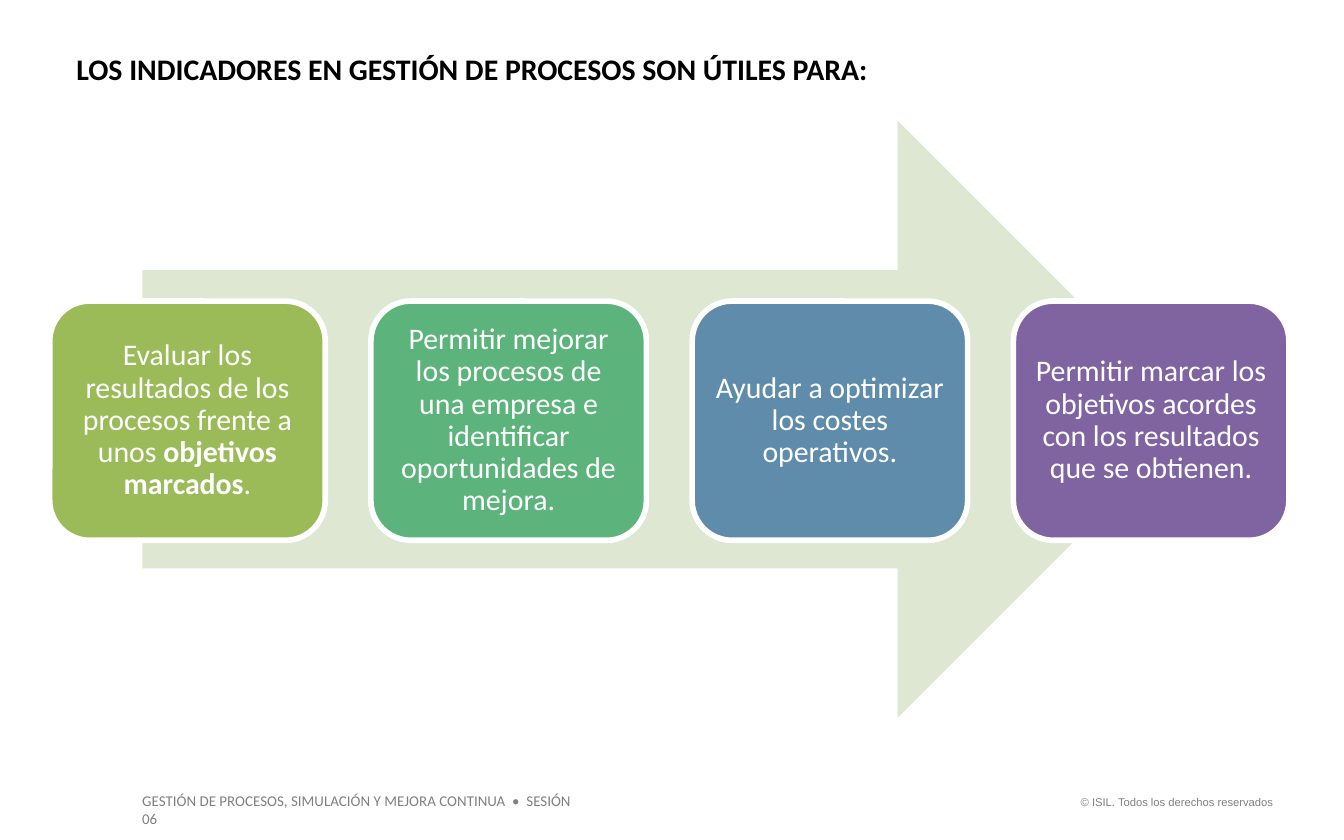
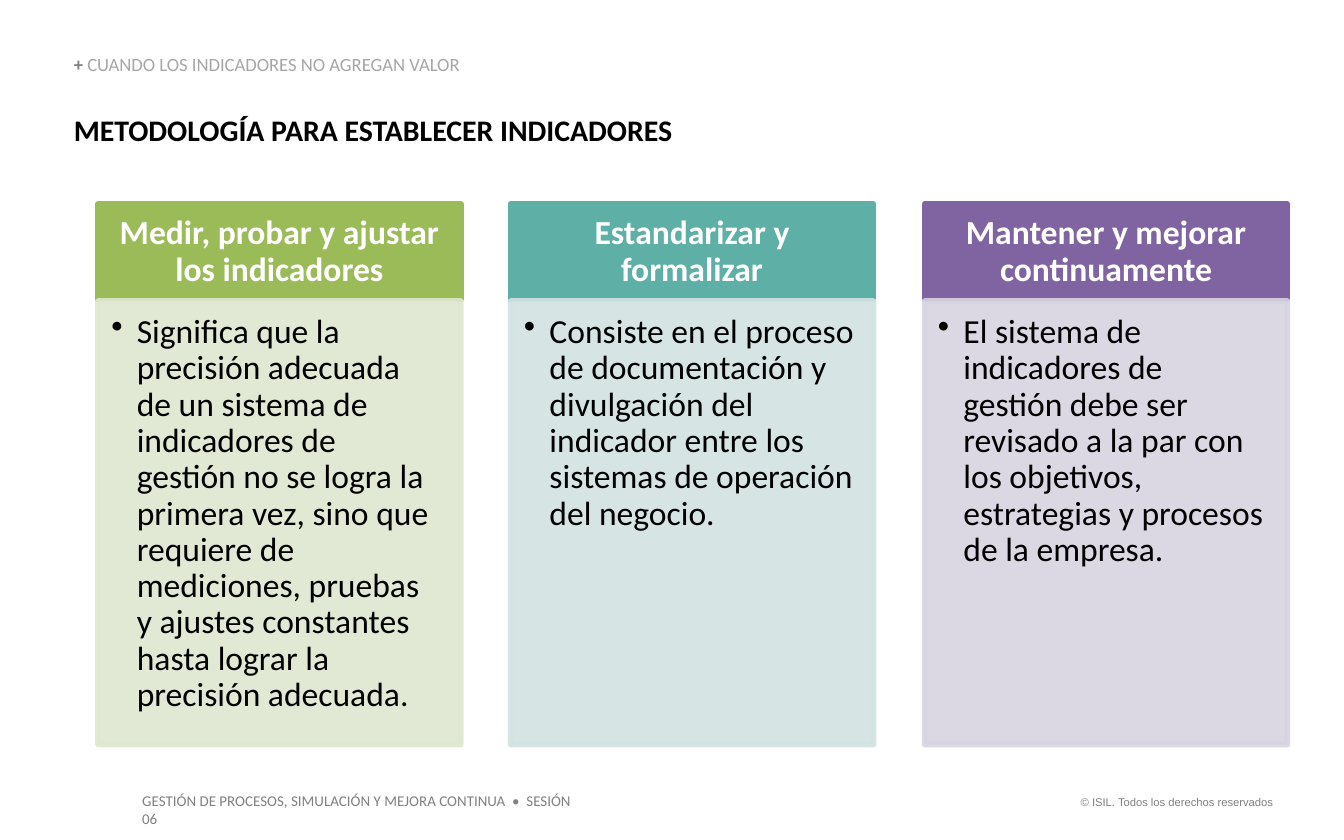
import lxml.etree
import pptx
import pptx.dml.color
import pptx.enum.shapes
import pptx.enum.text
import pptx.oxml.ns
import pptx.util

SCALE = 9144
COLORS = {
    "white": "FFFFFF", "black": "000000", "gray": "808080", "light_gray": "A6A6A6",
    "green": "9BBB59", "emerald": "5CB37C", "blue": "608CAB", "purple": "8064A2",
    "teal": "5EAFA6", "pale_green": "DEE7D1", "pale_teal": "D2E3E2", "pale_purple": "D8D3E0",
}
SHAPE = pptx.enum.shapes.MSO_SHAPE
ALIGN = pptx.enum.text.PP_ALIGN
ANCHOR = pptx.enum.text.MSO_ANCHOR
NO_INSETS = (0, 0, 0, 0)
BOX_INSETS = (10, 5, 10, 5)

USES = [
    ("green", [("Evaluar los resultados de los procesos frente a unos ", False),
               ("objetivos marcados", True), (".", False)]),
    ("emerald", [("Permitir mejorar los procesos de una empresa e identificar "
                  "oportunidades de mejora.", False)]),
    ("blue", [("Ayudar a optimizar los costes operativos.", False)]),
    ("purple", [("Permitir marcar los objetivos acordes con los resultados "
                 "que se obtienen.", False)]),
]
STEPS = [
    ("green", "pale_green", "Medir, probar y ajustar los indicadores",
     "Significa que la precisión adecuada de un sistema de indicadores de gestión no se logra "
     "la primera vez, sino que requiere de mediciones, pruebas y ajustes constantes hasta "
     "lograr la precisión adecuada."),
    ("teal", "pale_teal", "Estandarizar y formalizar",
     "Consiste en el proceso de documentación y divulgación del indicador entre los sistemas "
     "de operación del negocio."),
    ("purple", "pale_purple", "Mantener y mejorar continuamente",
     "El sistema de indicadores de gestión debe ser revisado a la par con los objetivos, "
     "estrategias y procesos de la empresa."),
]


def px(length):
    return pptx.util.Emu(length * SCALE)


def rgb(name):
    return pptx.dml.color.RGBColor.from_string(COLORS[name])


def spread(first, last, items):
    for index, item in enumerate(items):
        yield first + (last - first) * index // (len(items) - 1), item


class Deck:
    def __init__(self):
        self.presentation = pptx.Presentation()
        self.presentation.slide_width = px(1000)
        self.presentation.slide_height = px(625)
        self.slide = None

    def new_slide(self):
        self.slide = self.presentation.slides.add_slide(self.presentation.slide_layouts[6])
        self.text_box((788, 587, 169, 20), [("© ISIL. Todos los derechos reservados", False)],
                      6, "gray", font="Arial", align=ALIGN.RIGHT)
        self.text_box((96, 584, 353, 24),
                      [("GESTIÓN DE PROCESOS, SIMULACIÓN Y MEJORA CONTINUA  •  SESIÓN 06", False)],
                      8, "gray")

    def title(self, box, text, insets=BOX_INSETS):
        self.text_box(box, [(text, True)], 16, "black", insets=insets)

    def text_box(self, box, pieces, size, color, insets=BOX_INSETS, **style):
        shape = self.slide.shapes.add_textbox(*map(px, box))
        paragraph = self.set_text(shape, pieces, size, color, insets, **style)
        shape.text_frame.auto_size = pptx.enum.text.MSO_AUTO_SIZE.SHAPE_TO_FIT_TEXT
        return paragraph

    def shape(self, kind, box, fill, line=None, opacity=100):
        shape = self.slide.shapes.add_shape(kind, *map(px, box))
        shape.shadow.inherit = False
        shape.fill.solid()
        shape.fill.fore_color.rgb = rgb(fill)
        if line:
            shape.line.color.rgb = rgb(line)
            shape.line.width = pptx.util.Pt(3)
        else:
            shape.line.fill.background()
        if opacity < 100:
            for color in shape.element.spPr.iter(pptx.oxml.ns.qn("a:srgbClr")):
                alpha = lxml.etree.SubElement(color, pptx.oxml.ns.qn("a:alpha"))
                alpha.set("val", str(opacity * 1000))
        return shape

    def set_text(self, shape, pieces, size, color, insets, font="Calibri",
                 align=ALIGN.LEFT, anchor=ANCHOR.TOP, spacing=None):
        frame = shape.text_frame
        frame.word_wrap = True
        frame.vertical_anchor = anchor
        (frame.margin_left, frame.margin_top,
         frame.margin_right, frame.margin_bottom) = map(px, insets)
        paragraph = frame.paragraphs[0]
        paragraph.text = pieces[0][0]
        for text, _ in pieces[1:]:
            paragraph.add_run().text = text
        paragraph.alignment = align
        paragraph.line_spacing = spacing
        for run, (_, bold) in zip(paragraph.runs, pieces):
            run.font.name = font
            run.font.size = pptx.util.Pt(size)
            run.font.bold = bold
            run.font.color.rgb = rgb(color)
        return paragraph

    def bullet(self, paragraph, indent):
        paragraph.level = 1
        properties = paragraph._p.get_or_add_pPr()
        properties.set("marL", str(px(indent)))
        properties.set("indent", str(px(-indent)))
        bullet = lxml.etree.SubElement(properties, pptx.oxml.ns.qn("a:buChar"))
        bullet.set("char", "•")

    def use_card(self, left, color, pieces):
        card = self.shape(SHAPE.ROUNDED_RECTANGLE, (left, 224, 205, 178), color, "white")
        self.set_text(card, pieces, 16, "white", (7, 7, 7, 7),
                      align=ALIGN.CENTER, anchor=ANCHOR.MIDDLE, spacing=0.9)

    def step_column(self, left, color, pale, heading, body):
        header = self.shape(SHAPE.RECTANGLE, (left, 152, 270, 71), color, color)
        self.set_text(header, [(heading, True)], 18, "white", (14, 8, 14, 8),
                      align=ALIGN.CENTER, anchor=ANCHOR.MIDDLE, spacing=0.9)
        panel = self.shape(SHAPE.RECTANGLE, (left, 224, 270, 330), pale, pale, opacity=90)
        paragraph = self.set_text(panel, [(body, False)], 18, "black", (10, 10, 14, 16),
                                  spacing=0.9)
        self.bullet(paragraph, 19)


def main():
    deck = Deck()

    deck.new_slide()
    deck.title((47, 33, 617, 37), "LOS INDICADORES EN GESTIÓN DE PROCESOS SON ÚTILES PARA:")
    deck.shape(SHAPE.RIGHT_ARROW, (106, 90, 784, 444), "pale_green")
    for left, use in spread(37, 754, USES):
        deck.use_card(left, *use)

    deck.new_slide()
    deck.title((55, 83, 886, 27), "METODOLOGÍA PARA ESTABLECER INDICADORES", NO_INSETS)
    section = deck.text_box((55, 41, 303, 15),
                            [("+ ", True), ("CUANDO LOS INDICADORES NO AGREGAN VALOR", False)],
                            10, "gray", NO_INSETS, anchor=ANCHOR.BOTTOM, spacing=0.9)
    section.runs[1].font.color.rgb = rgb("light_gray")
    for left, step in spread(73, 688, STEPS):
        deck.step_column(left, *step)

    deck.presentation.save("out.pptx")


if __name__ == "__main__":
    main()
